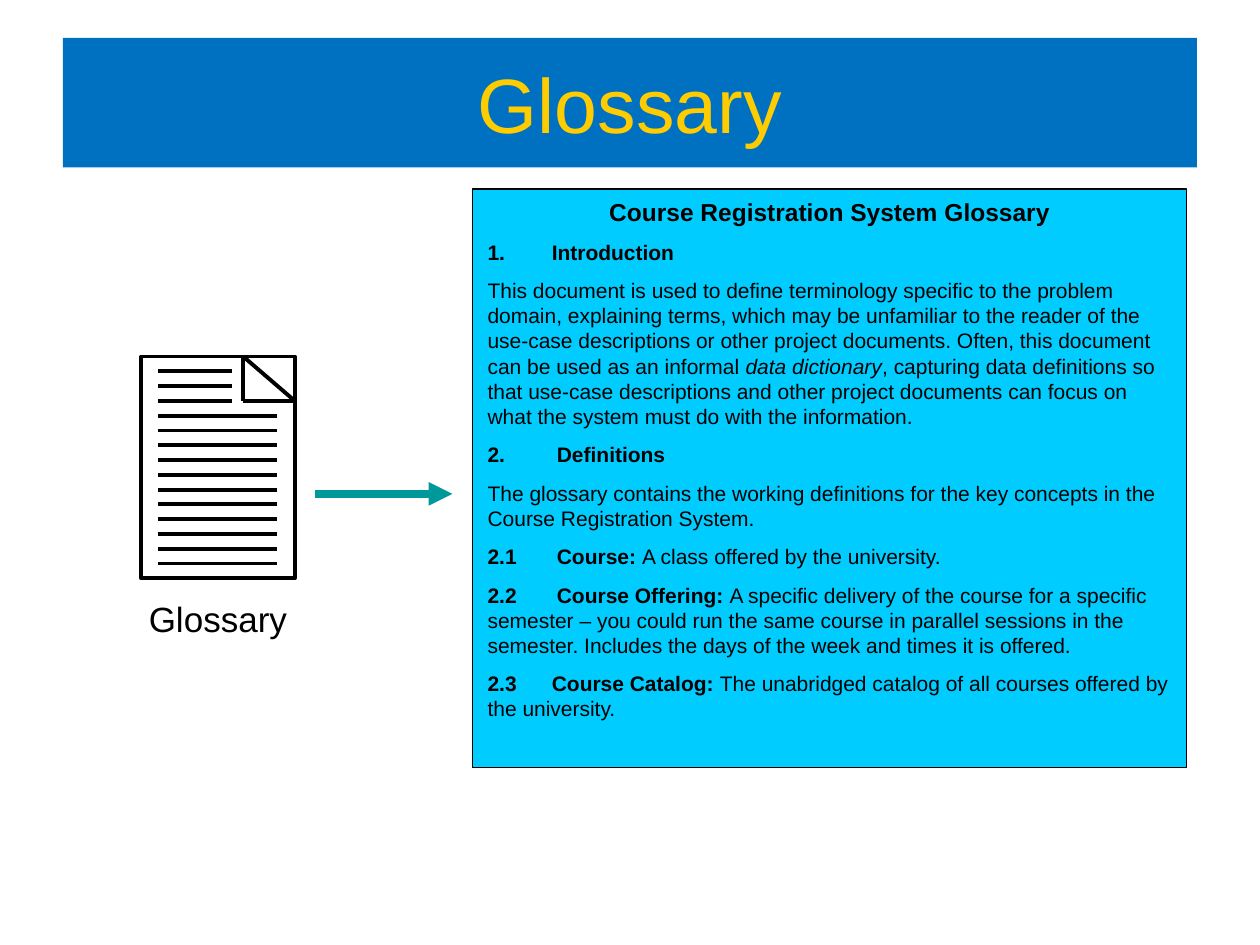
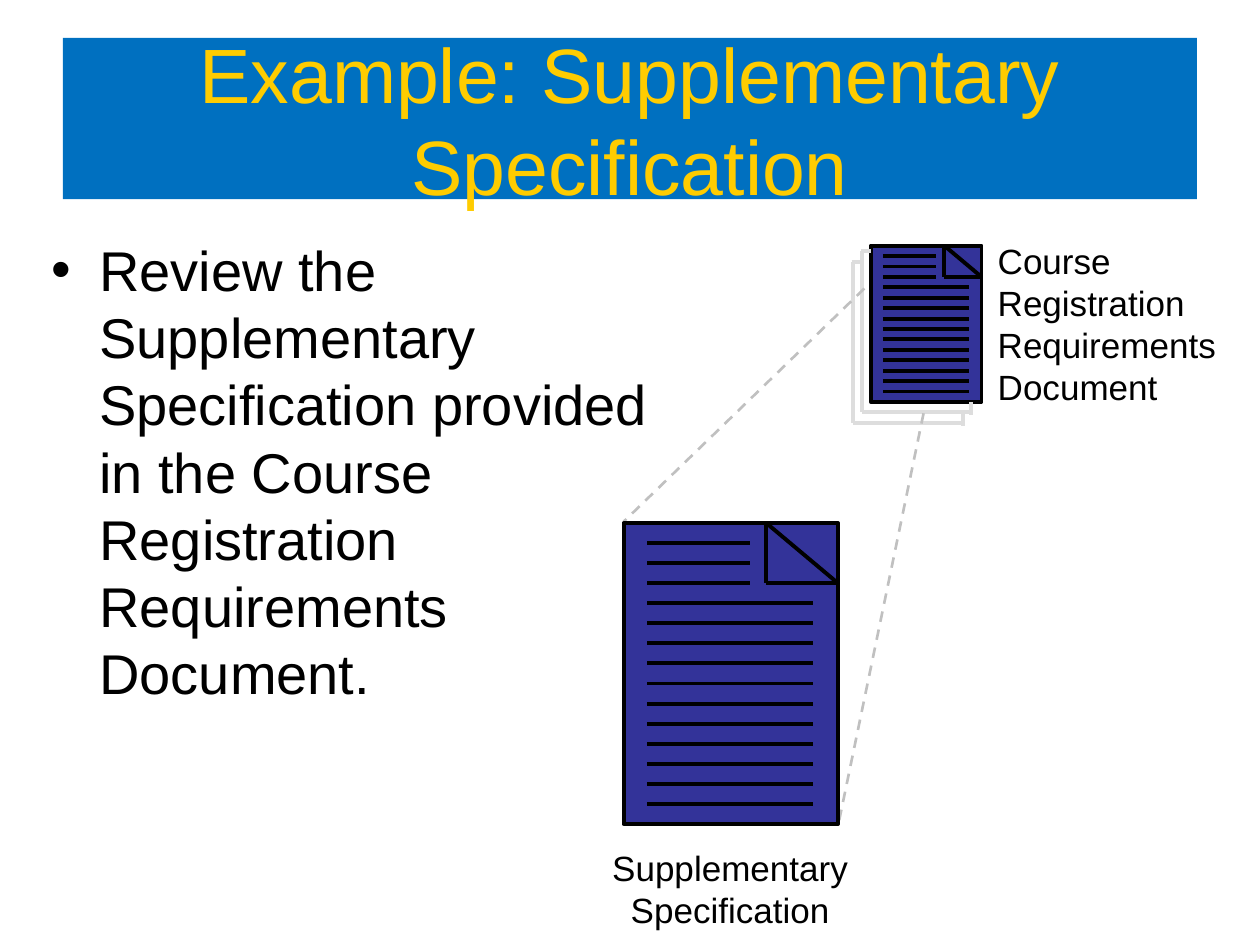
from dataclasses import dataclass
from typing import NamedTuple

from lxml.etree import SubElement as Sub
from pptx import Presentation
from pptx.dml.color import RGBColor as RGB
from pptx.enum.dml import MSO_LINE as Dash
from pptx.enum.shapes import MSO_CONNECTOR as Conn, MSO_SHAPE as Shape
from pptx.enum.text import MSO_ANCHOR as Anchor, PP_ALIGN as Align
from pptx.oxml.ns import qn
from pptx.shapes.connector import Connector
from pptx.slide import Slide
from pptx.text.text import TextFrame
from pptx.util import Inches, Pt

# Shared look
BLACK = RGB(0x00, 0x00, 0x00)
BLUE = RGB(0x00, 0x70, 0xC0)
GOLD = RGB(0xFF, 0xCC, 0x00)
CYAN = RGB(0x00, 0xCC, 0xFF)
TEAL = RGB(0x00, 0x99, 0x99)
NAVY = RGB(0x33, 0x33, 0x99)
PALE = RGB(0xDD, 0xDD, 0xDD)
GRAY = RGB(0xC0, 0xC0, 0xC0)
FONT = "Arial"
PEN = 2.25


class Box(NamedTuple):
    left: float
    top: float
    width: float
    height: float


class Run(NamedTuple):
    text: str
    bold: bool = False
    slant: bool = False


@dataclass
class Para:
    runs: list[Run]
    size: float = 20
    color: RGB = BLACK
    align: Align = Align.LEFT
    before: float = 0
    tab: float = 0
    bullet: bool = False


def add_bullet(props) -> None:
    """Hang the paragraph on a black round bullet."""
    props.set("marL", str(Inches(0.38)))
    props.set("indent", str(-Inches(0.38)))
    Sub(Sub(props, qn("a:buClr")), qn("a:srgbClr"), val=str(BLACK))
    Sub(props, qn("a:buFont"), typeface=FONT)
    Sub(props, qn("a:buChar"), char="•")


def add_text(slide: Slide, box: Box, paras: list[Para], wrap: bool = True,
             pad: tuple[float, float] = (0.1, 0.05)) -> tuple:
    shape = slide.shapes.add_textbox(*map(Inches, box))
    frame: TextFrame = shape.text_frame
    frame.word_wrap = wrap
    frame.margin_left = frame.margin_right = Inches(pad[0])
    frame.margin_top = frame.margin_bottom = Inches(pad[1])
    for i, item in enumerate(paras):
        para = frame.add_paragraph() if i else frame.paragraphs[0]
        props = para._p.get_or_add_pPr()
        if item.bullet:
            add_bullet(props)
        if item.tab:
            stops = Sub(props, qn("a:tabLst"))
            Sub(stops, qn("a:tab"), pos=str(Inches(item.tab)), algn="l")
        para.alignment = item.align
        if item.before:
            para.space_before = Pt(item.before)
        font = para.font
        font.name, font.size = FONT, Pt(item.size)
        font.color.rgb = item.color
        alike = len({run[1:] for run in item.runs}) == 1
        if alike:
            font.bold, font.italic = item.runs[0][1:]
        for part in item.runs:
            run = para.add_run()
            run.text = part.text
            if not alike:
                run.font.bold, run.font.italic = part[1:]
    return shape, frame


def add_title(slide: Slide, text: str, height: float) -> None:
    para = Para([Run(text)], 44, GOLD, Align.CENTER)
    shape, frame = add_text(slide, Box(0.5, 0.3, 9, height), [para])
    shape.fill.solid()
    shape.fill.fore_color.rgb = BLUE
    frame.vertical_anchor = Anchor.MIDDLE


def add_label(slide: Slide, box: Box, lines: list[str],
              align: Align = Align.CENTER) -> None:
    add_text(slide, box, [Para([Run(t)], align=align) for t in lines], False)


def add_line(slide: Slide, x1: float, y1: float, x2: float, y2: float,
             color: RGB = BLACK, width: float = PEN) -> Connector:
    line = slide.shapes.add_connector(
        Conn.STRAIGHT, *map(Inches, (x1, y1, x2, y2)))
    line.line.color.rgb = color
    line.line.width = Pt(width)
    Sub(line._element.spPr, qn("a:effectLst"))
    return line


def add_page(slide: Slide, box: Box, fill: RGB | None = None) -> None:
    """Page with a folded corner and 14 evenly spaced rules."""
    left, top, width, height = box
    page = slide.shapes.add_shape(Shape.RECTANGLE, *map(Inches, box))
    page.shadow.inherit = False
    page.line.color.rgb = BLACK
    page.line.width = Pt(PEN)
    if fill is None:
        page.fill.background()
    else:
        page.fill.solid()
        page.fill.fore_color.rgb = fill
    # Folded corner
    fold, right, base = left + 0.665 * width, left + width, top + height / 5
    add_line(slide, fold, top, right, base)
    add_line(slide, fold, top, fold, base)
    add_line(slide, right, base, fold, base)
    # Rules: the top three stop short of the fold
    for row in range(1, 15):
        y = top + height * row / 15
        end = 0.59 if row <= 3 else 0.885
        add_line(slide, left + 0.11 * width, y, left + end * width, y)


def add_sheet(slide: Slide, left: float, top: float) -> None:
    """Visible edges of a sheet that lies behind a page."""
    right, base = left + 0.87, top + 1.28
    for ends in ((left, top, left, base), (left, base, right, base),
                 (right, base + 0.02, right, base - 0.08),
                 (left - 0.01, top, left + 0.07, top)):
        add_line(slide, *ends, color=PALE)


def entry(mark: str, term: str, text: str = "", tab: float = 0.55) -> Para:
    runs = [Run(f"{mark}\t{term}", True)]
    if text:
        runs.append(Run(text))
    return Para(runs, 12, before=7.5, tab=tab)


def prose(*runs: Run) -> Para:
    return Para(list(runs), 12, before=7.5)


TERMS = [
    Para([Run("Course Registration System Glossary", True)], 14,
         align=Align.CENTER),
    entry("1.", "Introduction", tab=0.51),
    prose(
        Run("This document is used to define terminology specific to the "
            "problem domain, explaining terms, which may be unfamiliar to "
            "the reader of the use-case descriptions or other project "
            "documents. Often, this document can be used as an informal "),
        Run("data dictionary", slant=True),
        Run(", capturing data definitions so that use-case descriptions and "
            "other project documents can focus on what the system must do "
            "with the information.")),
    entry("2.", "Definitions"),
    prose(Run("The glossary contains the working definitions for the key "
              "concepts in the Course Registration System.")),
    entry("2.1", "Course: ", "A class offered by the university."),
    entry("2.2", "Course Offering: ",
          "A specific delivery of the course for a specific semester – you "
          "could run the same course in parallel sessions in the semester. "
          "Includes the days of the week and times it is offered."),
    entry("2.3", "Course Catalog: ",
          "The unabridged catalog of all courses offered by the university.",
          0.51),
]


def draw_terms(slide: Slide) -> None:
    add_page(slide, Box(1.12, 2.83, 1.22, 1.76))
    add_label(slide, Box(1.08, 4.69, 1.3, 0.44), ["Glossary"])
    add_title(slide, "Glossary", 1.03)
    # Glossary panel
    panel, _ = add_text(slide, Box(3.75, 1.5, 5.67, 4.59), TERMS,
                        pad=(0.12, 0.06))
    panel.fill.solid()
    panel.fill.fore_color.rgb = CYAN
    panel.line.color.rgb = BLACK
    panel.line.width = Pt(0.75)
    # Arrow from page to panel
    arrow = add_line(slide, 2.5, 3.92, 3.59, 3.92, TEAL, 4.5)
    Sub(arrow.line._get_or_add_ln(), qn("a:tailEnd"), type="triangle")


def draw_spec(slide: Slide) -> None:
    add_title(slide, "Example: Supplementary Specification", 1.28)
    task = ("Review the Supplementary Specification provided in the Course "
            "Registration Requirements Document.")
    add_text(slide, Box(0.31, 1.82, 5.35, 5.52),
             [Para([Run(task)], 32, bullet=True)])
    # Stack of requirements
    add_sheet(slide, 6.77, 2.08)
    add_page(slide, Box(6.91, 1.95, 0.88, 1.24), NAVY)
    add_label(slide, Box(7.82, 1.85, 2.01, 1.44),
              ["Course", "Registration", "Requirements", "Document"],
              Align.LEFT)
    add_sheet(slide, 6.84, 1.99)
    # Zoom lines to the large page
    for ends in ((6.86, 2.29, 4.95, 4.14), (7.33, 3.28, 6.65, 6.56)):
        zoom = add_line(slide, *ends, color=GRAY, width=1.5)
        zoom.line.dash_style = Dash.DASH
    add_page(slide, Box(4.95, 4.15, 1.7, 2.39), NAVY)
    add_label(slide, Box(4.76, 6.67, 2.07, 0.77),
              ["Supplementary", "Specification"])


def main() -> None:
    deck = Presentation()
    deck.slide_width, deck.slide_height = Inches(10), Inches(7.5)
    for draw in (draw_terms, draw_spec):
        draw(deck.slides.add_slide(deck.slide_layouts[6]))
    deck.save("out.pptx")


if __name__ == "__main__":
    main()
